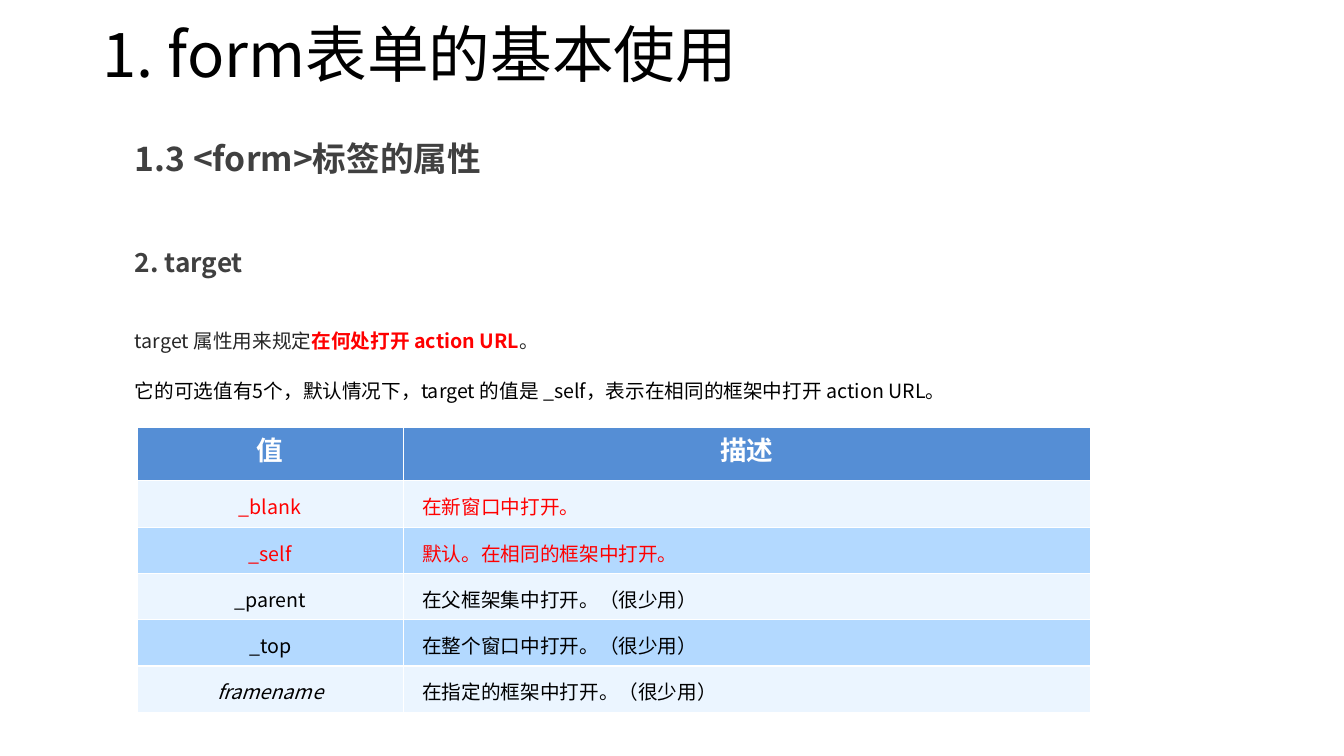
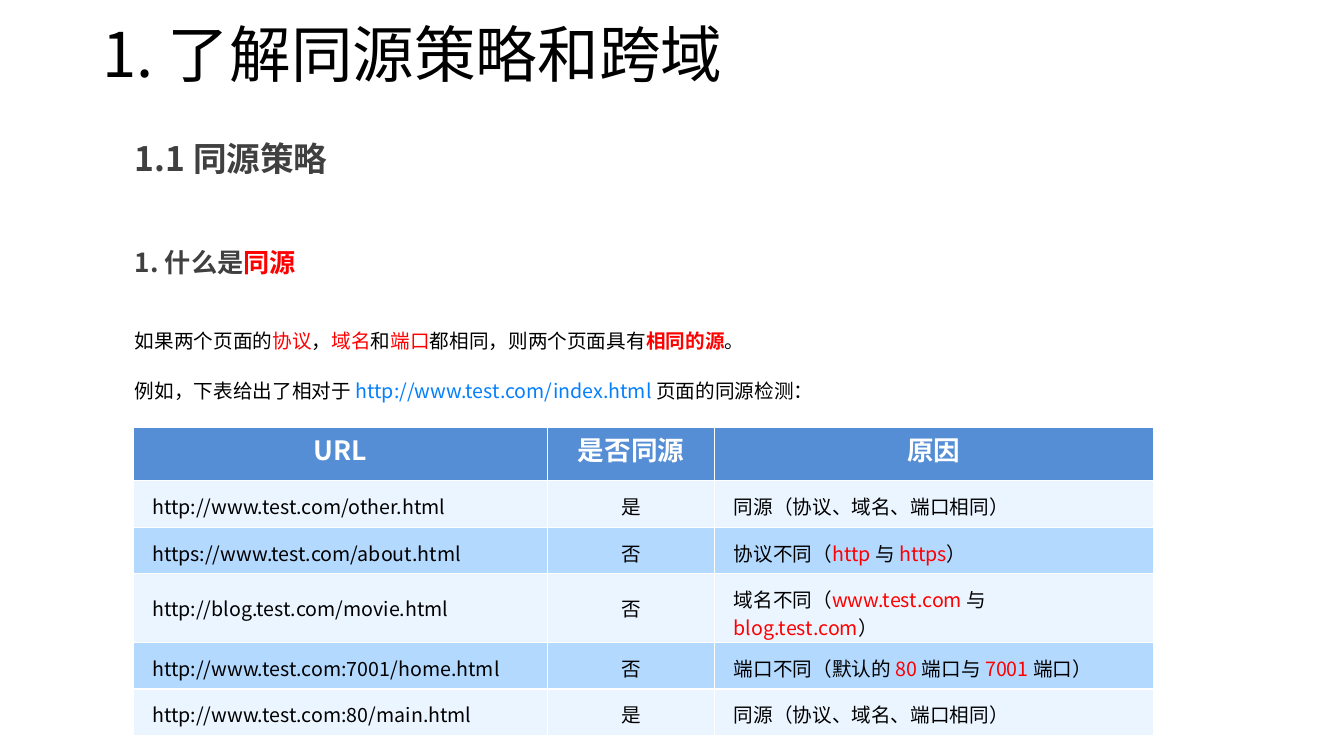
import pptx
import pptx.util
import pptx.dml.color
import pptx.enum.text
import pptx.oxml.ns
import lxml.etree

RED = "FF0000"
BLACK = "000000"
GREY = "404040"
ALIGN = pptx.enum.text.PP_ALIGN
ANCHOR = pptx.enum.text.MSO_ANCHOR


def colour(value):
    return pptx.dml.color.RGBColor.from_string(value)


def red(text, bold=False):
    return text, {"ink": RED, "bold": bold}


class Lesson:
    font = "Noto Sans CJK SC"
    header_fill = "558ED5"
    band_fills = ("EBF5FF", "B3D9FF")
    text_left = 9.3

    def __init__(self):
        self.deck = pptx.Presentation()
        self.deck.slide_width = pptx.util.Inches(13.33)
        self.deck.slide_height = pptx.util.Inches(7.5)
        self.page = None

    def columns(self, count):
        return int(self.deck.slide_width * count / 100)

    def rows(self, count):
        return int(self.deck.slide_height * count / 100)

    def add_page(self, title, section, topic):
        self.page = self.deck.slides.add_slide(self.deck.slide_layouts[6])
        self.text((6.9, 0, 73.65, 15.33), [title], 44, before=0, anchor=ANCHOR.MIDDLE)
        self.text((self.text_left, 18.13, 71.25, 10.53), [section], 24, GREY, True)
        self.text((self.text_left, 32.4, 71, 5.07), [topic], 18.7, GREY, True)

    def add_spans(self, para, content, size, ink=BLACK, bold=False):
        pieces = [content] if isinstance(content, str) else content
        for piece in pieces:
            text, changes = (piece, {}) if isinstance(piece, str) else piece
            style = {"ink": ink, "bold": bold, "italic": False, **changes}
            span = para.add_run()
            span.text = text
            span.font.size = pptx.util.Pt(size)
            span.font.name = self.font
            span.font.bold = style["bold"]
            span.font.italic = style["italic"]
            span.font.color.rgb = colour(style["ink"])
            latin = span.font._element.find(pptx.oxml.ns.qn("a:latin"))
            east_asian = lxml.etree.Element(pptx.oxml.ns.qn("a:ea"), typeface=self.font)
            latin.addnext(east_asian)

    def text(self, place, lines, size, ink=BLACK, bold=False,
             spacing=0.9, before=10, anchor=ANCHOR.TOP):
        left, top, width, height = place
        box = self.page.shapes.add_textbox(
            self.columns(left), self.rows(top), self.columns(width), self.rows(height))
        frame = box.text_frame
        frame.word_wrap = True
        frame.vertical_anchor = anchor
        for index, line in enumerate(lines):
            para = frame.add_paragraph() if index else frame.paragraphs[0]
            para.line_spacing = spacing
            para.space_before = pptx.util.Pt(before)
            self.add_spans(para, line, size, ink, bold)

    def body(self, width, height, lines):
        self.text((self.text_left, 41.33, width, height), lines, 14, spacing=1.5)

    def cell(self, cell, content, fill, margins, align, anchor, size, ink, bold):
        cell.fill.solid()
        cell.fill.fore_color.rgb = colour(fill)
        side, edge = (pptx.util.Inches(margin) for margin in margins)
        cell.margin_left = cell.margin_right = side
        cell.margin_top = cell.margin_bottom = edge
        cell.vertical_anchor = anchor
        para = cell.text_frame.paragraphs[0]
        para.alignment = align
        self.add_spans(para, content, size, ink, bold)
        return para

    def table(self, left, widths, aligns, header, records):
        heights = [7.07] + [6.13] * len(records)
        grid = self.page.shapes.add_table(
            len(heights), len(widths), self.columns(left), self.rows(56.53),
            self.columns(sum(widths)), self.rows(sum(heights))).table
        for column, width in zip(grid.columns, widths):
            column.width = self.columns(width)
        for row, height in zip(grid.rows, heights):
            row.height = self.rows(height)
        for index, label in enumerate(header):
            para = self.cell(grid.cell(0, index), label, self.header_fill, (0.13, 0.07),
                             ALIGN.CENTER, ANCHOR.TOP, 19, "FFFFFF", True)
            para.line_spacing = pptx.util.Pt(24)
        for number, record in enumerate(records):
            for index, content in enumerate(record):
                self.cell(grid.cell(number + 1, index), content, self.band_fills[number % 2],
                          (0.19, 0.11), aligns[index], ANCHOR.MIDDLE, 14, BLACK, False)


def target_page(lesson):
    lesson.add_page("1. form表单的基本使用", "1.3 <form>标签的属性", "2. target")
    dark = {"ink": "262626"}
    lesson.body(79.6, 56, [
        [("target 属性用来规定", dark), red("在何处打开 action URL", True), ("。", dark)],
        "它的可选值有5个，默认情况下，target 的值是 _self，表示在相同的框架中打开 action URL。",
    ])
    lesson.table(10.2, (19.8, 51.15), (ALIGN.CENTER, ALIGN.LEFT), ("值", "描述"), [
        ([red("_blank")], [red("在新窗口中打开。")]),
        ([red("_self")], [red("默认。在相同的框架中打开。")]),
        ("_parent", "在父框架集中打开。（很少用）"),
        ("_top", "在整个窗口中打开。（很少用）"),
        ([("framename", {"italic": True})], "在指定的框架中打开。（很少用）"),
    ])


def origin_page(lesson):
    lesson.add_page("1. 了解同源策略和跨域", "1.1 同源策略", ["1. 什么是", red("同源", True)])
    lesson.body(73.65, 18.93, [
        ["如果两个页面的", red("协议"), "，", red("域名"), "和", red("端口"),
         "都相同，则两个页面具有", red("相同的源", True), "。"],
        ["例如，下表给出了相对于 ",
         ("http://www.test.com/index.html ", {"ink": "047FFD"}), "页面的同源检测："],
    ])
    same = "同源（协议、域名、端口相同）"
    lesson.table(
        9.9, (30.83, 12.45, 32.63), (ALIGN.LEFT, ALIGN.CENTER, ALIGN.LEFT),
        ("URL", "是否同源", "原因"), [
            ("http://www.test.com/other.html", "是", same),
            ("https://www.test.com/about.html", "否",
             ["协议不同（", red("http "), "与 ", red("https"), "）"]),
            ("http://blog.test.com/movie.html", "否",
             ["域名不同（", red("www.test.com "), "与 ", red("blog.test.com"), "）"]),
            ("http://www.test.com:7001/home.html", "否",
             ["端口不同（默认的 ", red("80 "), "端口与 ", red("7001 "), "端口）"]),
            ("http://www.test.com:80/main.html", "是", same),
        ])


def main():
    lesson = Lesson()
    target_page(lesson)
    origin_page(lesson)
    lesson.deck.save("out.pptx")


if __name__ == "__main__":
    main()
